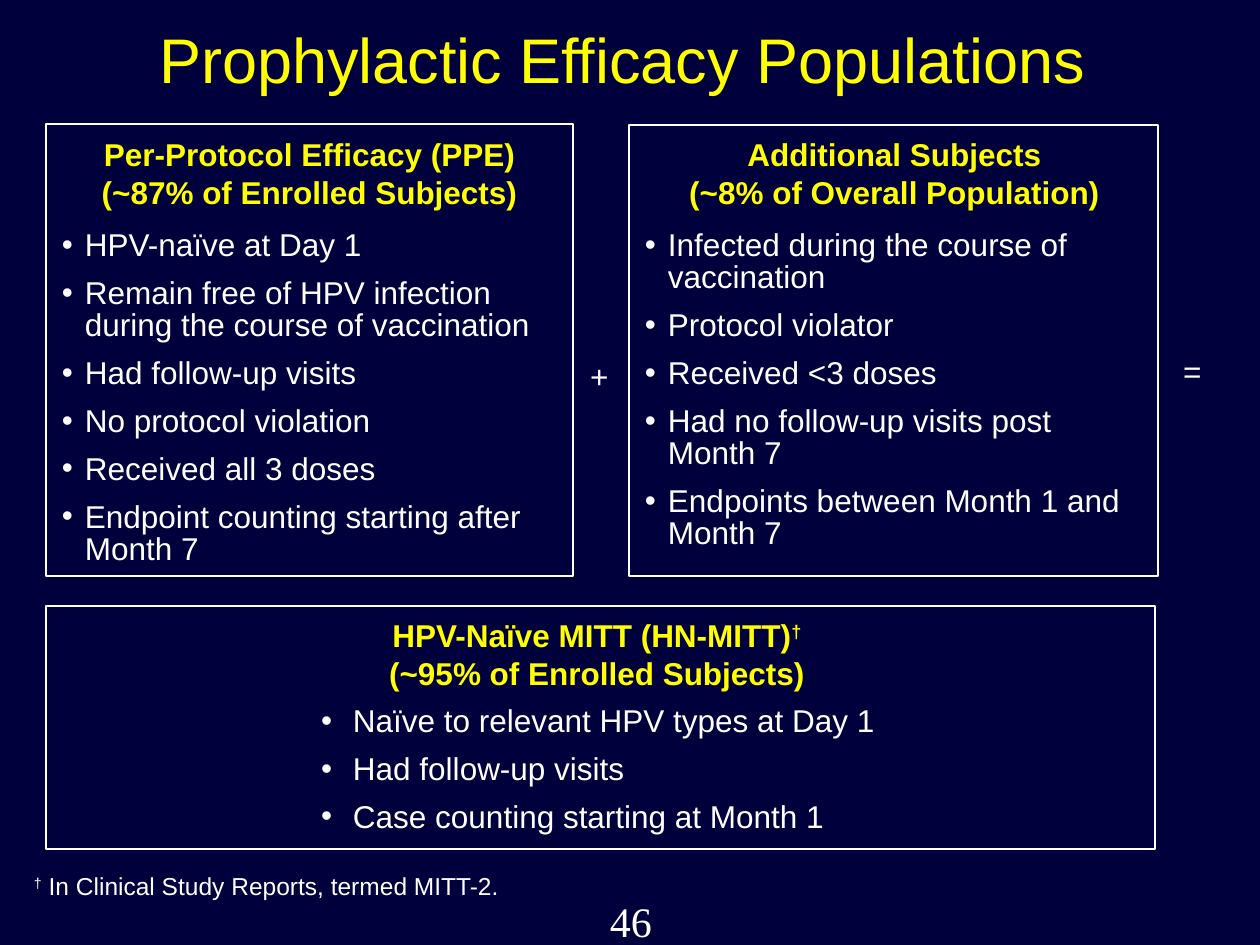
from dataclasses import dataclass

from lxml.etree import SubElement
from pptx import Presentation
from pptx.dml.color import RGBColor
from pptx.enum.shapes import MSO_SHAPE
from pptx.enum.text import MSO_ANCHOR, MSO_AUTO_SIZE, PP_ALIGN
from pptx.oxml.ns import qn
from pptx.util import Pt

PX = 914400 / 126


@dataclass(frozen=True)
class Theme:
    background: RGBColor = RGBColor(0x00, 0x00, 0x3C)
    accent: RGBColor = RGBColor(0xFF, 0xFF, 0x00)
    text: RGBColor = RGBColor(0xFF, 0xFF, 0xFF)
    font: str = "Arial"
    number_font: str = "Times New Roman"
    title: int = 36
    number: int = 24
    body: int = 18
    note: int = 14
    tight: float = 0.85
    outline: float = 1.25


THEME = Theme()


def emu(*lengths):
    return [round(length * PX) for length in lengths]


def style(p, size, color, name=THEME.font, bold=False):
    p.font.size = Pt(size)
    p.font.color.rgb = color
    p.font.name = name
    p.font.bold = bold


def clear_frame(tf, wrap=True):
    tf.margin_left = tf.margin_top = tf.margin_right = tf.margin_bottom = 0
    tf.vertical_anchor = MSO_ANCHOR.TOP
    tf.auto_size = MSO_AUTO_SIZE.NONE
    tf.word_wrap = wrap


def add_text_frame(slide, box, wrap=True):
    tf = slide.shapes.add_textbox(*emu(*box)).text_frame
    clear_frame(tf, wrap)
    return tf


def add_marked_text(p, text):
    """Add runs to p, raising a dagger if the text holds one."""
    for part in text.partition("†"):
        if part:
            r = p.add_run()
            r.text = part
            if part == "†":
                r.font._element.set("baseline", "30000")


def add_title(slide, box, text):
    title = slide.shapes.title
    title.left, title.top, title.width, title.height = emu(*box)
    tf = title.text_frame
    clear_frame(tf)
    tf.text = text
    p = tf.paragraphs[0]
    p.alignment = PP_ALIGN.CENTER
    p.line_spacing = THEME.tight
    style(p, THEME.title, THEME.accent)


def add_label(slide, box, text, size=THEME.body, name=THEME.font, align=PP_ALIGN.LEFT, wrap=True):
    p = add_text_frame(slide, box, wrap).paragraphs[0]
    add_marked_text(p, text)
    p.alignment = align
    style(p, size, THEME.text, name)


def add_heading(slide, box, lines):
    p = add_text_frame(slide, box).paragraphs[0]
    for i, line in enumerate(lines):
        if i:
            p.add_line_break()
        add_marked_text(p, line)
    p.alignment = PP_ALIGN.CENTER
    style(p, THEME.body, THEME.accent, bold=True)


def add_bullets(slide, box, items, margin, hanging):
    tf = add_text_frame(slide, box)
    for i, item in enumerate(items):
        p = tf.add_paragraph() if i else tf.paragraphs[0]
        p.text = item
        p_pr = p._p.get_or_add_pPr()
        left, indent = emu(margin, -hanging)
        p_pr.set("marL", str(left))
        p_pr.set("indent", str(indent))
        SubElement(p_pr, qn("a:buFont"), typeface=THEME.font)
        SubElement(p_pr, qn("a:buChar"), char="•")
        p.line_spacing = THEME.tight
        if i:
            p.space_before = Pt(9)
        style(p, THEME.body, THEME.text)


def add_panel(slide, box, heading, heading_box, items, items_box, margin=39, hanging=23):
    """Outlined panel; the inner boxes are relative to its corner."""
    x, y = box[:2]

    def inside(inner):
        left, top, width, height = inner
        return x + left, y + top, width, height

    add_bullets(slide, inside(items_box), items, margin, hanging)
    add_heading(slide, inside(heading_box), heading)
    sp = slide.shapes.add_shape(MSO_SHAPE.RECTANGLE, *emu(*box))
    sp.shadow.inherit = False
    sp.fill.background()
    sp.line.color.rgb = THEME.text
    sp.line.width = Pt(THEME.outline)


def main():
    prs = Presentation()
    prs.slide_width, prs.slide_height = emu(1260, 945)
    slide = prs.slides.add_slide(prs.slide_layouts[5])
    slide.background.fill.solid()
    slide.background.fill.fore_color.rgb = THEME.background

    add_title(slide, (24, 32, 1197, 98), "Prophylactic Efficacy Populations")
    add_panel(
        slide, (46, 124, 527, 452),
        ["Per-Protocol Efficacy (PPE)", "(~87% of Enrolled Subjects)"], (9, 11, 509, 76),
        ["HPV-naïve at Day 1",
         "Remain free of HPV infection during the course of vaccination",
         "Had follow-up visits",
         "No protocol violation",
         "Received all 3 doses",
         "Endpoint counting starting after Month 7"],
        (0, 107, 517, 336))
    add_label(slide, (590, 357, 19, 38), "+", wrap=False)
    add_panel(
        slide, (629, 125, 529, 451),
        ["Additional Subjects", "(~8% of Overall Population)"], (19, 10, 493, 76),
        ["Infected during the course of vaccination",
         "Protocol violator",
         "Received <3 doses",
         "Had no follow-up visits post Month 7",
         "Endpoints between Month 1 and Month 7"],
        (0, 106, 498, 320))
    add_label(slide, (1183, 352, 19, 38), "=", wrap=False)
    add_panel(
        slide, (46, 606, 1109, 243),
        ["HPV-Naïve MITT (HN-MITT)†", "(~95% of Enrolled Subjects)"], (6, 10, 1090, 76),
        ["Naïve to relevant HPV types at Day 1",
         "Had follow-up visits",
         "Case counting starting at Month 1"],
        (275, 101, 558, 129), margin=32, hanging=32)
    add_label(slide, (34, 871, 517, 29), "† In Clinical Study Reports, termed MITT-2.", THEME.note)
    add_label(slide, (556, 896, 150, 49), "46", THEME.number, THEME.number_font, PP_ALIGN.CENTER)
    prs.save("out.pptx")


if __name__ == "__main__":
    main()
